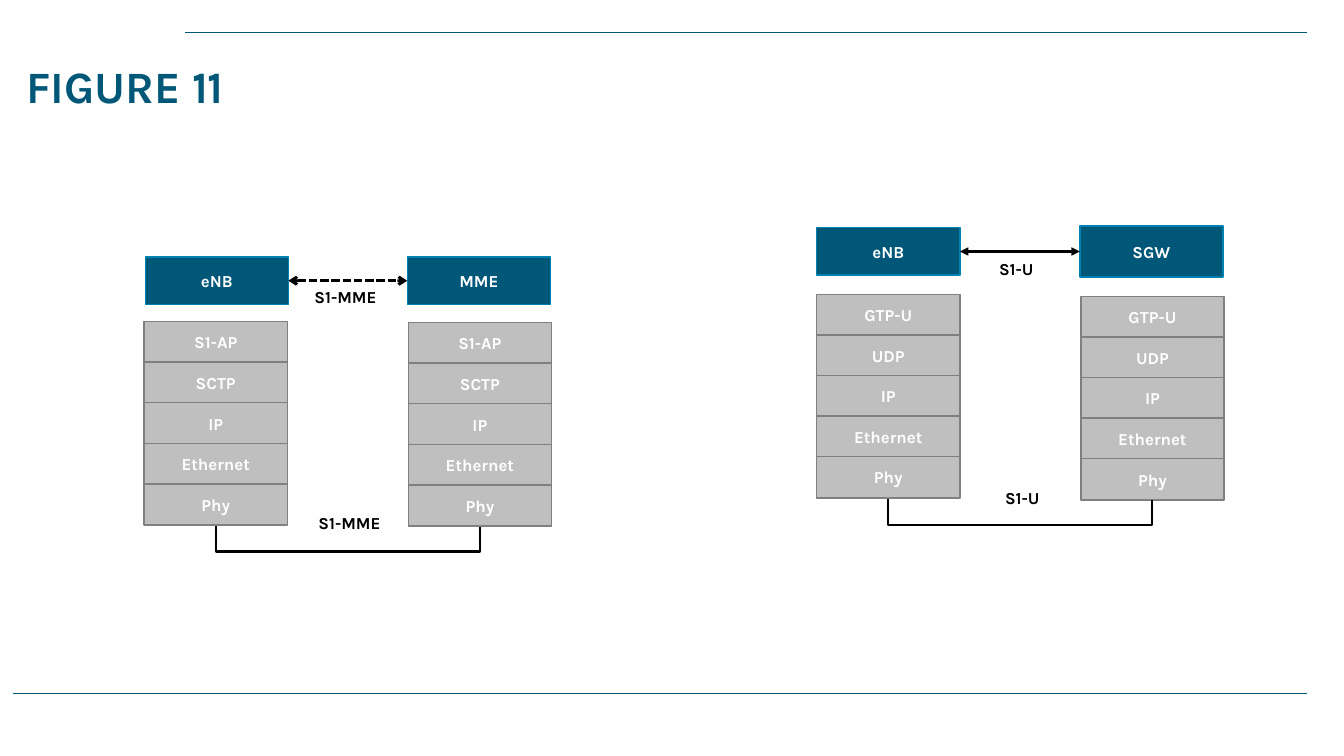
from lxml import etree
from pptx import Presentation
from pptx.dml.color import RGBColor
from pptx.enum import dml, shapes, text
from pptx.oxml import ns
from pptx.util import Inches, Pt

TEAL = RGBColor(0x00, 0x57, 0x78)
BLUE = RGBColor(0x00, 0x81, 0xB1)
SILVER = RGBColor(0xBF, 0xBF, 0xBF)
GRAY = RGBColor(0x80, 0x80, 0x80)
WHITE = RGBColor(0xFF, 0xFF, 0xFF)
BLACK = RGBColor(0x00, 0x00, 0x00)

FONT = "Karla"
COL_W = 1.42    # width of a node and its stack
ROW_H = 0.41    # height of one layer
STACK_H = 2.02  # height of five layers
DROP = 0.25     # depth of the link under the stacks


def set_font(para, size, color):
    font = para.font
    font.name, font.size, font.bold = FONT, Pt(size), True
    font.color.rgb = color


def add_box(slide, words, x, y, h, fill, edge):
    box = slide.shapes.add_shape(shapes.MSO_SHAPE.RECTANGLE,
                                 Inches(x), Inches(y), Inches(COL_W), Inches(h))
    box.shadow.inherit = False
    box.fill.solid()
    box.fill.fore_color.rgb = fill
    box.line.color.rgb = edge
    box.line.width = Pt(1)
    frame = box.text_frame
    frame.vertical_anchor = text.MSO_ANCHOR.MIDDLE
    para = frame.paragraphs[0]
    para.text = words
    para.alignment = text.PP_ALIGN.CENTER
    set_font(para, 12, WHITE)
    return box


def add_label(slide, words, x, y, w):
    box = slide.shapes.add_textbox(Inches(x), Inches(y), Inches(w), Inches(0.3))
    frame = box.text_frame
    frame.word_wrap = False
    frame.auto_size = text.MSO_AUTO_SIZE.SHAPE_TO_FIT_TEXT
    frame.paragraphs[0].text = words
    set_font(frame.paragraphs[0], 12, BLACK)


def add_line(slide, x1, y1, x2, y2, color, width, kind=shapes.MSO_CONNECTOR.STRAIGHT):
    line = slide.shapes.add_connector(kind, Inches(x1), Inches(y1), Inches(x2), Inches(y2))
    line.line.color.rgb = color
    line.line.width = Pt(width)
    etree.SubElement(line._element.spPr, ns.qn("a:effectLst"))
    return line


def add_arrow(slide, left, right, head, dash):
    line = add_line(slide, 0, 0, 1, 1, BLACK, 2)
    line.begin_connect(left, 3)
    line.end_connect(right, 1)
    if dash:
        line.line.dash_style = dash
    for end in ("a:headEnd", "a:tailEnd"):
        etree.SubElement(line.line._get_or_add_ln(), ns.qn(end), type=head)


def add_link(slide, x1, x2, y):
    """U-shaped elbow below the stacks, from (x2, y) to (x1, y)."""
    thin, span = 0.01, x2 - x1
    mid, top = (x1 + x2) / 2, y - span / 2
    line = add_line(slide, mid + thin / 2, top, mid - thin / 2, top + span,
                    BLACK, 1.5, shapes.MSO_CONNECTOR.ELBOW)
    props = line._element.spPr
    props.find(ns.qn("a:xfrm")).set("rot", "5400000")
    bend = props.find(ns.qn("a:prstGeom")).find(ns.qn("a:avLst"))
    etree.SubElement(bend, ns.qn("a:gd"), name="adj1",
                     fmla=f"val {round(-DROP / thin * 100000)}")


def add_stack(slide, layers, x, y):
    pitch = (STACK_H - ROW_H) / (len(layers) - 1)
    for i, layer in enumerate(layers):
        add_box(slide, layer, x, y + i * pitch, ROW_H, SILVER, GRAY)


def add_panel(slide, x, y, nodes, layers, name, head, dash, marks):
    """One interface: nodes hold (name, dx, dy, height, stack dx, stack dy)."""
    ends = []
    for node, dx, dy, h, sx, sy in nodes:
        ends.append(add_box(slide, node, x + dx, y + dy, h, TEAL, BLUE))
        add_stack(slide, layers, x + sx, y + sy)
    add_arrow(slide, *ends, head, dash)

    # Interface name under the arrow and above the link
    wide, *spots = marks
    for dx, dy in spots:
        add_label(slide, name, x + dx, y + dy, wide)

    x1, x2 = (x + node[4] + COL_W / 2 for node in nodes)
    add_link(slide, x1, x2, y + nodes[-1][5] + STACK_H)


def add_frame(slide, words):
    # Rules at top and bottom
    add_line(slide, 1.84, 0.32, 12.96, 0.32, TEAL, 1)
    add_line(slide, 0.13, 6.88, 12.96, 6.88, TEAL, 1)
    # Title
    title = slide.shapes.title
    title.left, title.top = Inches(0.16), Inches(0.56)
    title.width, title.height = Inches(11.15), Inches(0.6)
    frame = title.text_frame
    frame.auto_size = text.MSO_AUTO_SIZE.NONE
    frame.vertical_anchor = text.MSO_ANCHOR.BOTTOM
    para = frame.paragraphs[0]
    para.text = words
    para.alignment = text.PP_ALIGN.LEFT
    para.line_spacing = 0.8
    set_font(para, 32, TEAL)


def main():
    deck = Presentation()
    deck.slide_width, deck.slide_height = Inches(13.33), Inches(7.5)
    slide = deck.slides.add_slide(deck.slide_layouts[5])
    add_frame(slide, "FIGURE 11")

    # Control plane
    add_panel(slide, 1.43, 2.55,
              [("eNB", 0.01, 0, 0.47, 0, 0.64), ("MME", 2.61, 0, 0.47, 2.62, 0.65)],
              ["S1-AP", "SCTP", "IP", "Ethernet", "Phy"], "S1-MME",
              "arrow", dml.MSO_LINE.SQUARE_DOT, [0.87, (1.59, 0.25), (1.63, 2.49)])
    # User plane
    add_panel(slide, 8.1, 2.24,
              [("eNB", 0, 0.02, 0.47, 0, 0.68), ("SGW", 2.61, 0, 0.51, 2.62, 0.7)],
              ["GTP-U", "UDP", "IP", "Ethernet", "Phy"], "S1-U",
              "triangle", None, [0.58, (1.71, 0.28), (1.77, 2.55)])
    deck.save("out.pptx")


if __name__ == "__main__":
    main()
